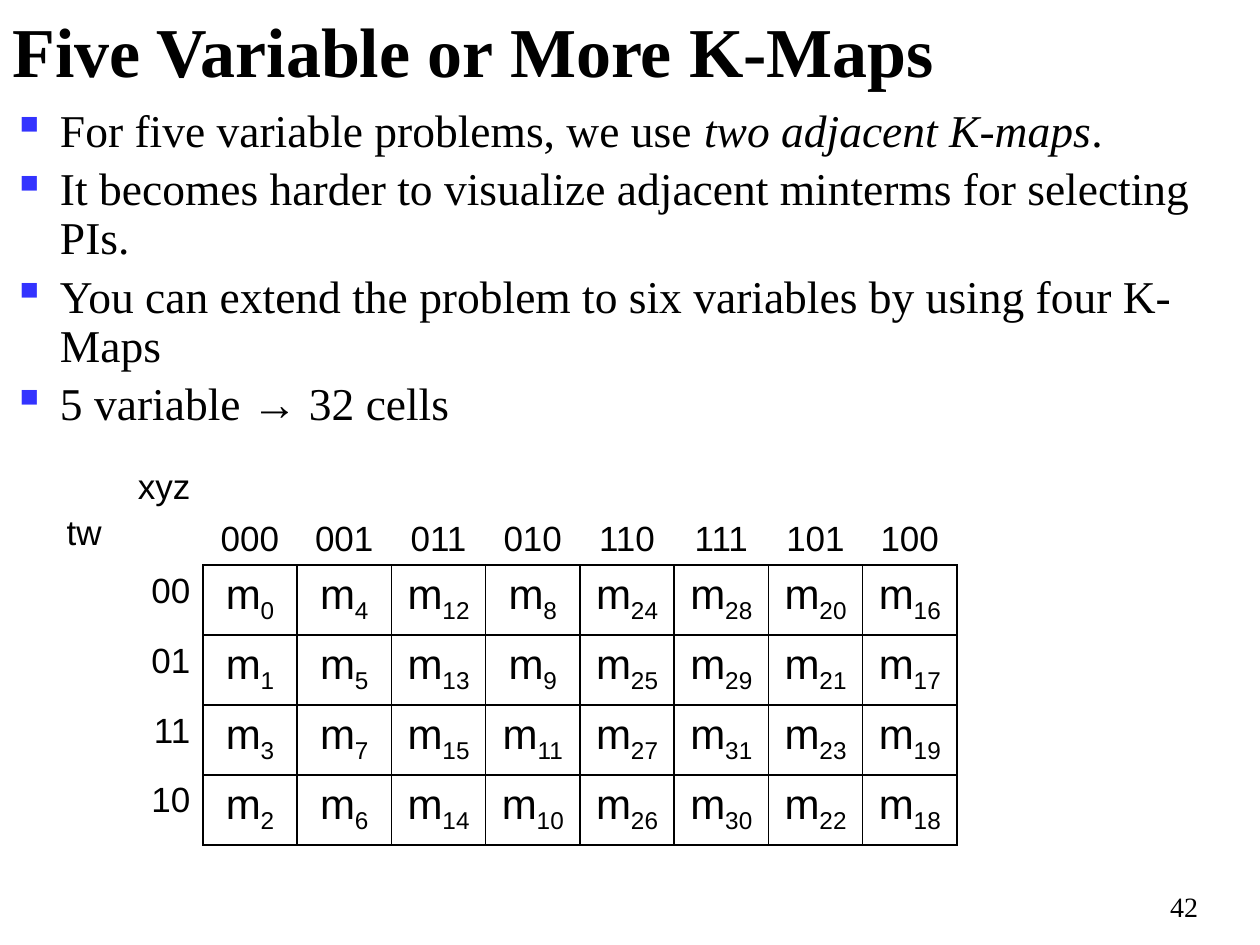
from dataclasses import dataclass

from lxml import etree
from pptx import Presentation
from pptx.dml.color import RGBColor
from pptx.enum.text import MSO_ANCHOR as Anchor, PP_ALIGN as Align
from pptx.oxml.ns import qn
from pptx.util import Cm, Pt

BLACK = RGBColor(0x00, 0x00, 0x00)
BULLET_BLUE = RGBColor(0x33, 0x33, 0xFF)
SERIF, SANS = "Times New Roman", "Arial"

COLUMN_CODES = ("000", "001", "011", "010", "110", "111", "101", "100")
ROW_CODES = ("00", "01", "11", "10")
LABEL_WIDTH, CELL_WIDTH = 3.0, 1.9
HEADER_HEIGHT, CELL_HEIGHT = 1.97, 1.33


@dataclass(frozen=True)
class Style:
    name: str
    size: float
    bold: bool = False
    italic: bool = False


TITLE = Style(SERIF, 40, bold=True)
BODY = Style(SERIF, 26)
EMPHASIS = Style(SERIF, 26, italic=True)
PAGE_NUMBER = Style(SERIF, 16)
LABEL = Style(SANS, 20)
MINTERM = Style(SANS, 24)

BULLETS = (
    (("For five variable problems, we use ", BODY),
     ("two adjacent K-maps", EMPHASIS), (".", BODY)),
    (("It becomes harder to visualize adjacent minterms for selecting PIs.", BODY),),
    (("You can extend the problem to six variables by using four K-Maps", BODY),),
    (("5 variable → 32 cells", BODY),),
)


def add_span(para, text: str, style: Style):
    span = para.add_run()
    span.text = text
    formats = {"name": style.name, "size": Pt(style.size),
               "bold": style.bold, "italic": style.italic}
    for key, value in formats.items():
        setattr(span.font, key, value)
    span.font.color.rgb = BLACK
    return span


def add_box(page, left: float, top: float, width: float, height: float,
            anchor=Anchor.TOP):
    """Add a wrapping text box, measured in centimetres; return its text frame."""
    frame = page.shapes.add_textbox(Cm(left), Cm(top), Cm(width), Cm(height)).text_frame
    frame.word_wrap = True
    frame.vertical_anchor = anchor
    return frame


def next_para(frame, index: int, gap: float):
    """Return paragraph number index, with a gap above all but the first."""
    if index == 0:
        return frame.paragraphs[0]
    para = frame.add_paragraph()
    para.space_before = Pt(gap)
    return para


def set_bullet(para) -> None:
    props = para._p.get_or_add_pPr()
    props.set("marL", str(Cm(0.96)))
    props.set("indent", str(-Cm(0.96)))
    color = etree.SubElement(props, qn("a:buClr"))
    etree.SubElement(color, qn("a:srgbClr"), val=str(BULLET_BLUE))
    etree.SubElement(props, qn("a:buChar"), char="▪")


def add_bullets(page) -> None:
    frame = add_box(page, 0, 2.06, 24.69, 4.95)
    for index, spans in enumerate(BULLETS):
        para = next_para(frame, index, gap=5.2)
        set_bullet(para)
        para.line_spacing = 0.9
        for text, style in spans:
            add_span(para, text, style)


def set_borders(cell, sides: str) -> None:
    """Draw black lines on the given sides (of L, R, T, B) and hide the others."""
    cell.fill.background()
    props = cell._tc.get_or_add_tcPr()
    for index, side in enumerate("LRTB"):
        line = etree.Element(qn(f"a:ln{side}"), w=str(Pt(1)))
        if side in sides:
            fill = etree.SubElement(line, qn("a:solidFill"))
            etree.SubElement(fill, qn("a:srgbClr"), val=str(BLACK))
        else:
            etree.SubElement(line, qn("a:noFill"))
        props.insert(index, line)


def write_label(cell, text: str, align, sides: str) -> None:
    set_borders(cell, sides)
    para = cell.text_frame.paragraphs[0]
    para.alignment = align
    add_span(para, text, LABEL)


def write_minterm(cell, number: int) -> None:
    set_borders(cell, "LRTB")
    para = cell.text_frame.paragraphs[0]
    para.alignment = Align.CENTER
    add_span(para, "m", MINTERM)
    subscript = add_span(para, str(number), MINTERM)
    subscript._r.get_or_add_rPr().set("baseline", "-25000")


def add_kmap(page) -> None:
    rows, columns = len(ROW_CODES) + 1, len(COLUMN_CODES) + 1
    width = LABEL_WIDTH + CELL_WIDTH * len(COLUMN_CODES)
    height = HEADER_HEIGHT + CELL_HEIGHT * len(ROW_CODES)
    table = page.shapes.add_table(rows, columns, Cm(1.09), Cm(9.3),
                                  Cm(width), Cm(height)).table
    table.first_row = table.horz_banding = False
    for index, column in enumerate(table.columns):
        column.width = Cm(CELL_WIDTH if index else LABEL_WIDTH)
    for index, row in enumerate(table.rows):
        row.height = Cm(CELL_HEIGHT if index else HEADER_HEIGHT)

    corner = table.cell(0, 0)
    write_label(corner, "xyz", Align.RIGHT, "")
    add_span(next_para(corner.text_frame, 1, gap=4), "tw", LABEL)

    for column, code in enumerate(COLUMN_CODES, 1):
        heading = table.cell(0, column)
        heading.vertical_anchor = Anchor.BOTTOM
        write_label(heading, code, Align.CENTER, "B")
    for row, row_code in enumerate(ROW_CODES, 1):
        write_label(table.cell(row, 0), row_code, Align.RIGHT, "R")
        for column, column_code in enumerate(COLUMN_CODES, 1):
            write_minterm(table.cell(row, column), int(column_code + row_code, 2))


def main() -> None:
    deck = Presentation()
    deck.slide_width, deck.slide_height = Cm(25.4), Cm(19.05)
    page = deck.slides.add_slide(deck.slide_layouts[6])

    title = add_box(page, 0, 0, 22.86, 2.01, Anchor.MIDDLE)
    add_span(title.paragraphs[0], "Five Variable or More K-Maps", TITLE)
    add_bullets(page)
    add_kmap(page)
    number = add_box(page, 23.34, 17.81, 1.7, 1.24)
    add_span(number.paragraphs[0], "42", PAGE_NUMBER)

    deck.save("out.pptx")


if __name__ == "__main__":
    main()
